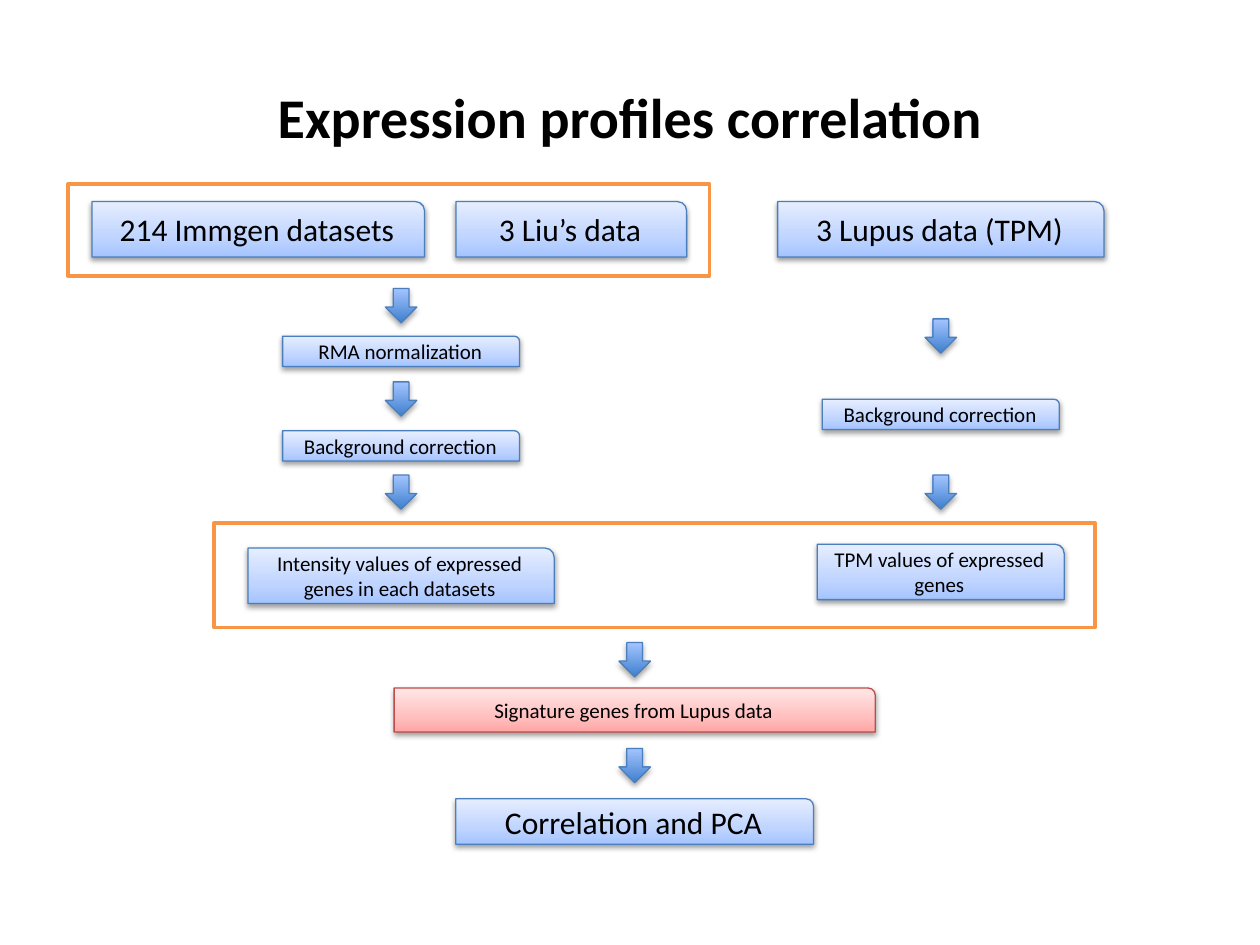
from lxml.etree import SubElement
from pptx import Presentation
from pptx.dml.color import RGBColor
from pptx.enum.shapes import MSO_SHAPE
from pptx.enum.text import MSO_ANCHOR, PP_ALIGN
from pptx.oxml.ns import qn
from pptx.util import Pt

LEFT, MIDDLE, RIGHT = 229.2, 362.7, 537.6
ARROW_WIDTH, ARROW_HEIGHT = 18, 19.6
BLUE = {"stops": [(0, "A4C4FF"), (35, "BFD4FF"), (100, "E6EEFF")], "line": "4B7EBC"}
RED = {"stops": [(0, "FFA6A5"), (35, "FFC0BF"), (100, "FFE7E7")], "line": "BF4C48"}
ARROW = {"stops": [(0, "3F80CE"), (100, "A4C4FF")], "line": "4B7EBC"}

FRAMES = [(38.9, 105.1, 366.5, 52.6), (122.4, 298.8, 503.3, 59.8)]
STEPS = [
    ("214 Immgen datasets", 147.6, 115.2, 190.1, 31.7, 18, BLUE),
    ("3 Liu’s data", 326.5, 115.2, 131.8, 31.7, 18, BLUE),
    ("3 Lupus data (TPM)", RIGHT, 115.2, 186.5, 31.7, 18, BLUE),
    ("RMA normalization", LEFT, 192.2, 135.4, 17.3, 12, BLUE),
    ("Background correction", LEFT, 246.2, 135.4, 17.3, 12, BLUE),
    ("Background correction", RIGHT, 228.2, 135.4, 17.3, 12, BLUE),
    ("Intensity values of expressed genes in each datasets",
     LEFT, 313.2, 175, 31.7, 12, BLUE),
    ("TPM values of expressed genes", RIGHT, 311, 141.1, 31.7, 12, BLUE),
    ("Signature genes from Lupus data", MIDDLE, 393.1, 275, 25.2, 12, RED),
    ("Correlation and PCA", MIDDLE, 456.5, 204.5, 25.9, 18, BLUE),
]
ARROW_TOPS = {
    LEFT: (164.9, 218.2, 271.4),
    RIGHT: (182.2, 271.4),
    MIDDLE: (367.2, 427.7),
}


def color(hex_value):
    """Turn a hex string into a colour."""
    return RGBColor.from_string(hex_value)


def write_text(holder, text, size, bold=False):
    """Write one centred line of black text."""
    frame = holder.text_frame
    frame.text = text
    frame.word_wrap = True
    frame.vertical_anchor = MSO_ANCHOR.MIDDLE
    paragraph = frame.paragraphs[0]
    paragraph.alignment = PP_ALIGN.CENTER
    font = paragraph.runs[0].font
    for name, value in {"name": "Calibri", "size": Pt(size), "bold": bold}.items():
        setattr(font, name, value)
    font.color.rgb = color("000000")


def add_outlined(slide, kind, bounds, line_color, line_width):
    """Add a preset shape with a coloured outline."""
    outlined = slide.shapes.add_shape(kind, *map(Pt, bounds))
    outlined.line.color.rgb = color(line_color)
    outlined.line.width = Pt(line_width)
    return outlined


def add_frame(slide, bounds):
    """Add an unfilled orange frame around a group of steps."""
    frame = add_outlined(slide, MSO_SHAPE.RECTANGLE, bounds, "F79646", 2)
    frame.fill.background()
    frame.shadow.inherit = False


def add_color_element(parent, hex_value):
    """Append a colour element to an XML parent."""
    return SubElement(parent, qn("a:srgbClr"), val=hex_value)


def add_glossy(slide, kind, bounds, style, opacity, distance):
    """Add a shape with a vertical gradient and a soft drop shadow."""
    glossy = add_outlined(slide, kind, bounds, style["line"], 0.75)
    glossy.fill.gradient()
    glossy.fill.gradient_angle = 90
    properties = glossy.element.spPr
    stop_list = properties.find(".//" + qn("a:gsLst"))
    for stop in list(stop_list):
        stop_list.remove(stop)
    for position, hex_value in style["stops"]:
        stop = SubElement(stop_list, qn("a:gs"), pos=str(position * 1000))
        add_color_element(stop, hex_value)
    effects = SubElement(properties, qn("a:effectLst"))
    shadow = SubElement(
        effects, qn("a:outerShdw"), blurRad=str(Pt(3.1)), dist=str(Pt(distance)),
        dir="5400000", rotWithShape="0")
    SubElement(add_color_element(shadow, "000000"), qn("a:alpha"),
               val=str(opacity * 1000))
    return glossy


def add_step(slide, text, center, top, width, height, size, style):
    """Add a labelled step centred on its column."""
    bounds = (center - width / 2, top, width, height)
    step = add_glossy(slide, MSO_SHAPE.ROUND_1_RECTANGLE, bounds, style, 38, 1.6)
    write_text(step, text, size)


def add_arrow(slide, center, top):
    """Add a down arrow centred on its column."""
    bounds = (center - ARROW_WIDTH / 2, top, ARROW_WIDTH, ARROW_HEIGHT)
    add_glossy(slide, MSO_SHAPE.DOWN_ARROW, bounds, ARROW, 35, 1.8)


def add_title(slide, text):
    """Place and fill the title placeholder."""
    title = slide.shapes.title
    bounds = {"left": 36, "top": 21.6, "width": 648, "height": 90}
    for name, value in bounds.items():
        setattr(title, name, Pt(value))
    write_text(title, text, 32, bold=True)


def main():
    """Build the workflow slide."""
    presentation = Presentation()
    presentation.slide_width, presentation.slide_height = Pt(720), Pt(540)
    slide = presentation.slides.add_slide(presentation.slide_layouts[5])
    add_title(slide, "Expression profiles correlation")
    for bounds in FRAMES:
        add_frame(slide, bounds)
    for step in STEPS:
        add_step(slide, *step)
    for center, tops in ARROW_TOPS.items():
        for top in tops:
            add_arrow(slide, center, top)
    presentation.save("out.pptx")


if __name__ == "__main__":
    main()
